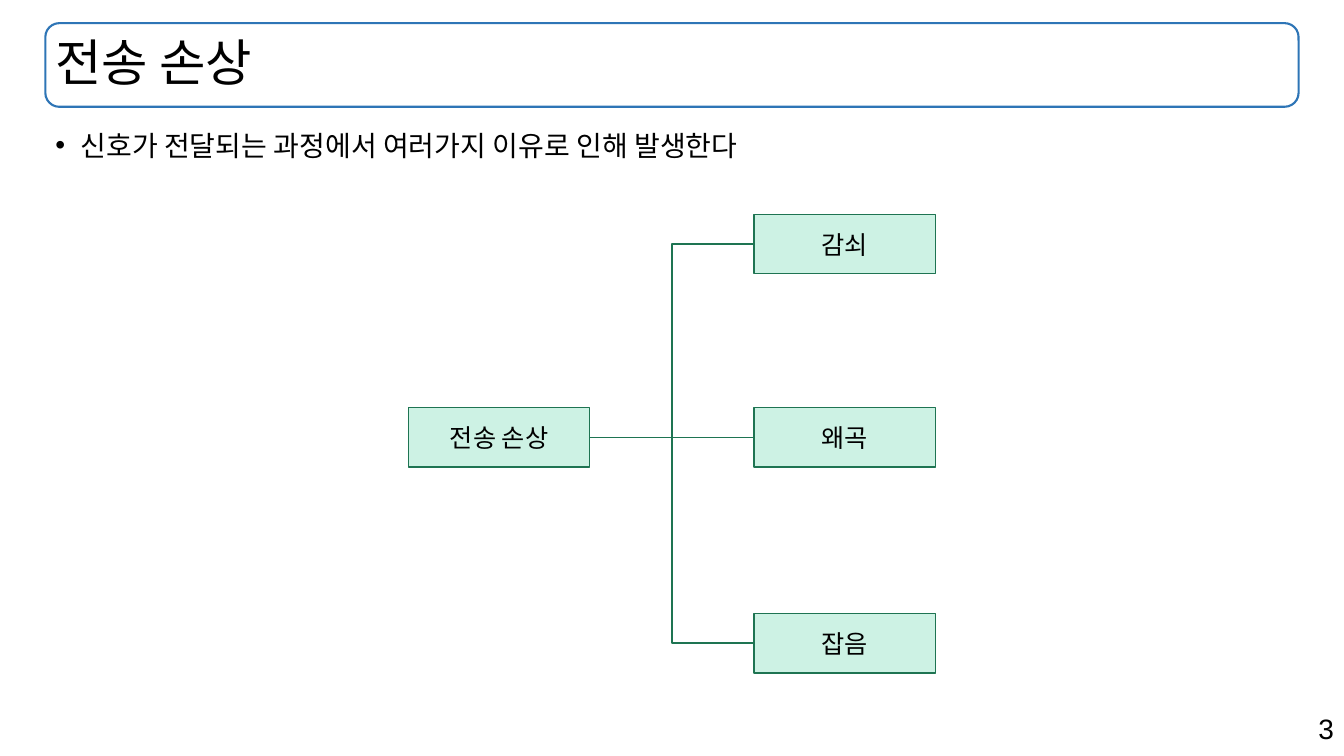
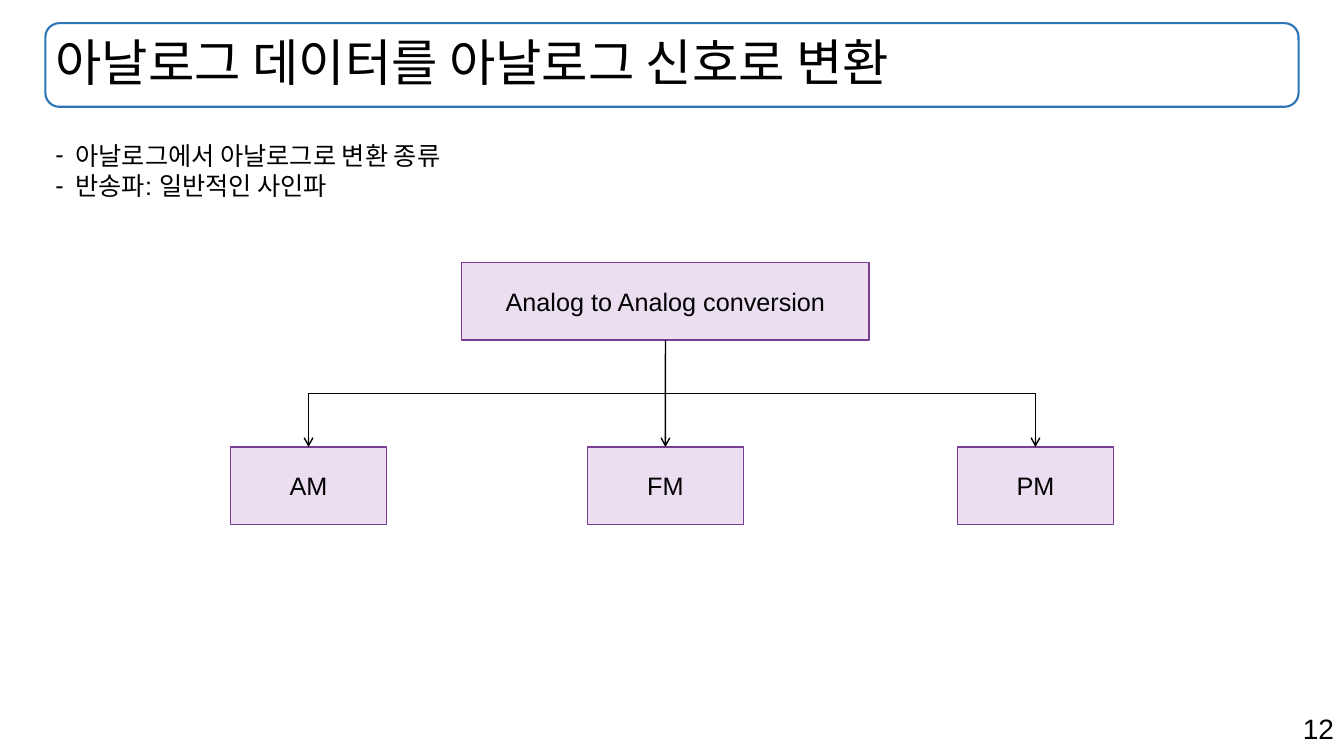
from pptx import Presentation
from pptx.dml.color import RGBColor
from pptx.enum import shapes, text
from pptx.oxml.ns import qn
from pptx.util import Inches, Pt
from lxml import etree

FONT, BLACK, FRAME_BLUE = "Arial", "000000", "2E75B6"
TITLE_AREA = (0.45, 0.23, 12.43, 0.83)
NUMBER_AREA = (9.43, 7.01, 3.9, 0.44)
TOP, LEFT, BOTTOM, RIGHT = range(4)  # connection sites of a rectangle

# Node boxes are (label, centre x, centre y, width).
SLIDES = [
    {
        "number": "3",
        "title": "전송 손상",
        "points": ["신호가 전달되는 과정에서 여러가지 이유로 인해 발생한다"],
        "list": {"area": (0.45, 1.26, 12.43, 0.76), "mark": "•", "indent": 0.25,
                 "size": 20, "spacing": 0.9},
        "tree": {
            "root": ("전송 손상", 4.95, 4.34, 1.8),
            "leaves": [("감쇠", 8.38, 2.42, 1.8), ("왜곡", 8.38, 4.34, 1.8),
                       ("잡음", 8.38, 6.38, 1.8)],
            "height": 0.59, "fill": "CDF2E4", "border": "1E7452",
            "link": "1E7452", "downward": False, "arrows": False,
        },
    },
    {
        "number": "12",
        "title": "아날로그 데이터를 아날로그 신호로 변환",
        "points": ["아날로그에서 아날로그로 변환 종류", "반송파: 일반적인 사인파"],
        "list": {"area": (0.45, 1.34, 4.35, 0.7), "mark": "-", "indent": 0.2,
                 "size": 18, "spacing": 1.0},
        "tree": {
            "root": ("Analog to Analog conversion", 6.6, 2.99, 4.04),
            "leaves": [("AM", 3.06, 4.82, 1.55), ("FM", 6.6, 4.82, 1.55),
                       ("PM", 10.27, 4.82, 1.55)],
            "height": 0.77, "fill": "EBDEF1", "border": "783E94",
            "link": BLACK, "downward": True, "arrows": True,
        },
    },
]


def rgb(value):
    return RGBColor.from_string(value)


def inches(area):
    return [Inches(n) for n in area]


def style(paragraph, size, align=text.PP_ALIGN.LEFT):
    paragraph.alignment = align
    paragraph.font.name = FONT
    paragraph.font.size = Pt(size)
    paragraph.font.color.rgb = rgb(BLACK)


def outline(line, color, width):
    line.color.rgb = rgb(color)
    line.width = Pt(width)


def add_frame(slide, title, number):
    """Title inside its rounded frame, and the slide number."""
    frame = slide.shapes.add_shape(shapes.MSO_SHAPE.ROUNDED_RECTANGLE, *inches(TITLE_AREA))
    frame.shadow.inherit = False
    frame.fill.background()
    outline(frame.line, FRAME_BLUE, 1.5)

    heading = slide.shapes.title
    heading.left, heading.top, heading.width, heading.height = inches(TITLE_AREA)
    heading.text_frame.text = title
    heading.text_frame.auto_size = text.MSO_AUTO_SIZE.NONE
    heading.text_frame.vertical_anchor = text.MSO_ANCHOR.MIDDLE
    paragraph = heading.text_frame.paragraphs[0]
    paragraph.line_spacing = 0.9
    style(paragraph, 36)

    page = slide.shapes.add_textbox(*inches(NUMBER_AREA)).text_frame
    page.word_wrap = True
    page.text = number
    style(page.paragraphs[0], 20, text.PP_ALIGN.RIGHT)


def add_list(slide, points, area, mark, indent, size, spacing):
    body = slide.shapes.add_textbox(*inches(area)).text_frame
    body.word_wrap = True
    body.text = "\n".join(points)
    for paragraph in body.paragraphs:
        paragraph.line_spacing = spacing
        properties = paragraph._p.get_or_add_pPr()
        properties.set("marL", str(Inches(indent)))
        properties.set("indent", str(-Inches(indent)))
        etree.SubElement(properties, qn("a:buFont"), typeface=FONT)
        etree.SubElement(properties, qn("a:buChar"), char=mark)
        style(paragraph, size)


def add_node(slide, tree, label, x, y, width):
    height = tree["height"]
    area = (x - width / 2, y - height / 2, width, height)
    node = slide.shapes.add_shape(shapes.MSO_SHAPE.RECTANGLE, *inches(area))
    node.shadow.inherit = False
    node.fill.solid()
    node.fill.fore_color.rgb = rgb(tree["fill"])
    outline(node.line, tree["border"], 1)
    node.text_frame.text = label
    node.text_frame.vertical_anchor = text.MSO_ANCHOR.MIDDLE
    style(node.text_frame.paragraphs[0], 18, text.PP_ALIGN.CENTER)
    return node


def turn_downward(link):
    """Rotate an elbow so that it leaves and arrives vertically."""
    x1, y1, x2, y2 = link.begin_x, link.begin_y, link.end_x, link.end_y
    width, height = abs(y2 - y1), abs(x2 - x1)
    link.left, link.top = (x1 + x2 - width) // 2, (y1 + y2 - height) // 2
    link.width, link.height = width, height
    transform = link._element.spPr.xfrm
    transform.rot, transform.flipH, transform.flipV = 90, False, x2 > x1


def add_link(slide, tree, root, leaf, straight):
    kind = shapes.MSO_CONNECTOR.STRAIGHT if straight else shapes.MSO_CONNECTOR.ELBOW
    start, end = (BOTTOM, TOP) if tree["downward"] else (RIGHT, LEFT)
    link = slide.shapes.add_connector(kind, 0, 0, 0, 0)
    link.begin_connect(root, start)
    link.end_connect(leaf, end)
    if tree["downward"] and not straight:
        turn_downward(link)
    outline(link.line, tree["link"], 1)
    if tree["arrows"]:
        etree.SubElement(link.get_or_add_ln(), qn("a:tailEnd"), type="arrow")
    etree.SubElement(link._element.spPr, qn("a:effectLst"))


def add_tree(slide, tree):
    root = add_node(slide, tree, *tree["root"])
    axis = 1 if tree["downward"] else 2
    for leaf in tree["leaves"]:
        node = add_node(slide, tree, *leaf)
        add_link(slide, tree, root, node, leaf[axis] == tree["root"][axis])


def main():
    deck = Presentation()
    deck.slide_width, deck.slide_height = Inches(13.33), Inches(7.5)
    title_only = deck.slide_layouts[5]
    for content in SLIDES:
        slide = deck.slides.add_slide(title_only)
        add_frame(slide, content["title"], content["number"])
        add_list(slide, content["points"], **content["list"])
        add_tree(slide, content["tree"])
    deck.save("out.pptx")


if __name__ == "__main__":
    main()
